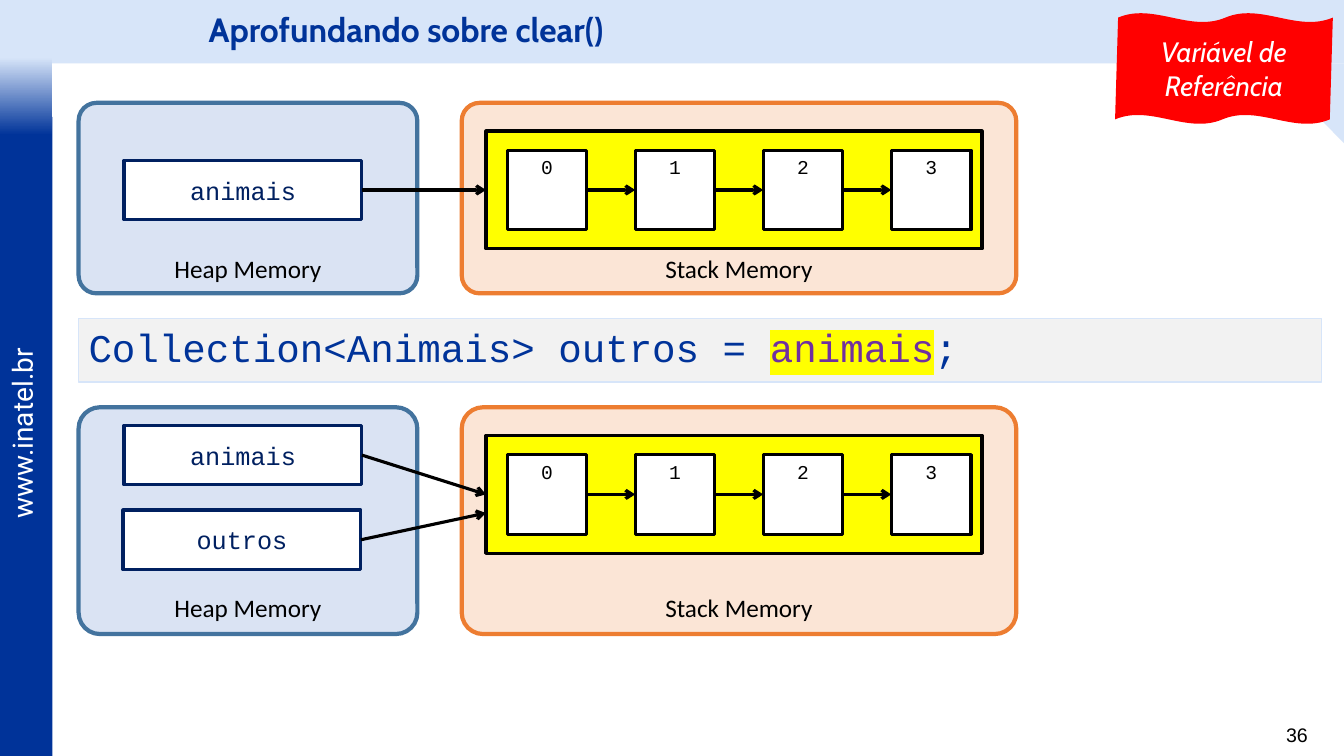
from pptx import Presentation, util as u
from pptx.dml.color import RGBColor
from pptx.enum import shapes, text
from pptx.oxml import ns
from lxml import etree

COLORS = {
    "sky": "D7E5F9", "blue": "003399", "navy": "002060", "white": "FFFFFF",
    "black": "000000", "yellow": "FFFF00", "purple": "7030A0", "red": "FF0000",
    "code_fill": "F2F2F2", "heap_fill": "DAE3F3", "heap_line": "43739E",
    "stack_fill": "FBE5D6", "stack_line": "ED7D31",
}
KIND = shapes.MSO_SHAPE
ALIGN = text.PP_ALIGN
ANCHOR = text.MSO_ANCHOR
MONO = "Courier New"


def rgb(name):
    return RGBColor.from_string(COLORS[name])


def place(left, top, width, height):
    return [u.Inches(value) for value in (left, top, width, height)]


def add_box(page, at, fill, line=None, weight=2.25, kind=KIND.RECTANGLE):
    box = page.shapes.add_shape(kind, *place(*at))
    box.shadow.inherit = False
    box.fill.solid()
    box.fill.fore_color.rgb = rgb(fill)
    if line:
        box.line.color.rgb = rgb(line)
        box.line.width = u.Pt(weight)
    else:
        box.line.fill.background()
    return box


def add_span(para, words, size, font, color, bold=False, italic=False, highlight=None):
    span = para.add_run()
    span.text = words
    span.font.size = u.Pt(size)
    span.font.name = font
    span.font.bold = bold
    span.font.italic = italic
    span.font.color.rgb = rgb(color)
    if highlight:
        mark = etree.Element(ns.qn("a:highlight"))
        etree.SubElement(mark, ns.qn("a:srgbClr"), val=COLORS[highlight])
        span.font._element.find(ns.qn("a:latin")).addprevious(mark)


def write(box, *lines, align=ALIGN.CENTER, anchor=ANCHOR.MIDDLE, spacing=None, **style):
    """Fill a shape; a line is a string or a list of (words, style changes)."""
    frame = box.text_frame
    frame.word_wrap = True
    frame.vertical_anchor = anchor
    for index, line in enumerate(lines):
        para = frame.add_paragraph() if index else frame.paragraphs[0]
        para.alignment = align
        if spacing:
            para.line_spacing = spacing
        for words, changes in [(line, {})] if isinstance(line, str) else line:
            add_span(para, words, **{**style, **changes})


def add_text(page, at, *lines, **style):
    box = page.shapes.add_textbox(*place(*at))
    write(box, *lines, **style)
    return box


def add_arrow(page, source, target, end=None):
    """Join the right side of source to the left side of target, or to a free end."""
    x, y = end or (0, 0)
    arrow = page.shapes.add_connector(shapes.MSO_CONNECTOR.STRAIGHT, 0, 0, u.Inches(x), u.Inches(y))
    arrow.begin_connect(source, 3)
    if not end:
        arrow.end_connect(target, 1)
    arrow.line.color.rgb = rgb("black")
    arrow.line.width = u.Pt(2.25)
    etree.SubElement(arrow.line._get_or_add_ln(), ns.qn("a:tailEnd"), type="arrow")
    etree.SubElement(arrow._element.spPr, ns.qn("a:effectLst"))


def add_panel(page, left, top, width, height, label, role):
    panel = add_box(page, (left, top, width, height), role + "_fill", role + "_line",
                    3, KIND.ROUNDED_RECTANGLE)
    panel.adjustments[0] = 0.094
    write(panel, label, anchor=ANCHOR.BOTTOM, size=18, font="Calibri", color="black")


def add_variable(page, left, top, name):
    box = add_box(page, (left, top, 2.36, 0.59), "white", "navy")
    write(box, name, size=18, font=MONO, color="navy")
    return box


def add_memory(page, top, height):
    """Draw both memory panels and the linked list; return the list's frame."""
    add_panel(page, 4.58, top, 5.5, height, "Stack Memory", "stack")
    add_panel(page, 0.78, top, 3.36, height, "Heap Memory", "heap")
    collection = add_box(page, (4.82, top + 0.28, 4.92, 1.17), "yellow", "black")
    previous = None
    for index in range(4):
        cell = add_box(page, (5.03 + 1.27 * index, top + 0.47, 0.79, 0.79), "white", "black")
        write(cell, str(index), anchor=ANCHOR.TOP, size=14, font=MONO, color="black")
        if previous:
            add_arrow(page, previous, cell)
        previous = cell
    return collection


def add_frame(page):
    """Draw the header band, the side bar, the web address and the page number."""
    add_box(page, (0, 0, 13.33, 0.63), "sky")
    add_box(page, (0, 1.16, 0.52, 6.34), "blue")
    fade = add_box(page, (0, 0.57, 0.52, 0.77), "sky")
    fade.fill.gradient()
    fade.fill.gradient_angle = 270
    for stop, (color, position) in zip(fade.fill.gradient_stops, (("sky", 0), ("blue", 1))):
        stop.color.rgb = rgb(color)
        stop.position = position
    address = add_text(page, (-0.72, 4.09, 1.87, 0.43), "www.inatel.br", align=ALIGN.LEFT,
                       size=20, font="Roboto", color="white")
    address.rotation = 270
    address.text_frame.margin_right = 0
    add_text(page, (12.42, 7.12, 0.65, 0.34), "36", align=ALIGN.RIGHT, anchor=ANCHOR.TOP,
             size=14, font="Arial", color="black")
    corner = add_box(page, (12.55, 0.63, 0.78, 0.79), "sky", kind=KIND.RIGHT_TRIANGLE)
    corner.rotation = 180


def main():
    deck = Presentation()
    deck.slide_width, deck.slide_height = u.Inches(13.33), u.Inches(7.5)
    page = deck.slides.add_slide(deck.slide_layouts[6])
    add_frame(page)
    add_text(page, (1.97, 0, 11.36, 0.63), "Aprofundando sobre clear()", align=ALIGN.LEFT,
             spacing=0.9, size=24, font="Cabin", color="blue", bold=True)

    collection = add_memory(page, 1.02, 1.89)
    add_arrow(page, add_variable(page, 1.23, 1.59, "animais"), collection)

    code = add_box(page, (0.78, 3.16, 12.33, 0.63), "code_fill", "sky", 1)
    statement = [("Collection<Animais> outros = ", {}),
                 ("animais", {"color": "purple", "highlight": "yellow"}), (";", {})]
    write(code, statement, align=ALIGN.LEFT, spacing=0.9, size=28, font=MONO, color="blue")

    collection = add_memory(page, 4.04, 2.25)
    add_arrow(page, add_variable(page, 1.23, 4.22, "animais"), collection)
    add_arrow(page, add_variable(page, 1.22, 5.06, "outros"), None, end=(4.82, 5.09))

    flag = add_box(page, (11.06, 0.13, 2.16, 1.1), "red", kind=KIND.DOUBLE_WAVE)
    flag.adjustments[0], flag.adjustments[1] = 0.041, -0.007
    write(flag, "Variável de", "Referência", size=20, font="Cabin", color="white", italic=True)
    deck.save("out.pptx")


if __name__ == "__main__":
    main()
